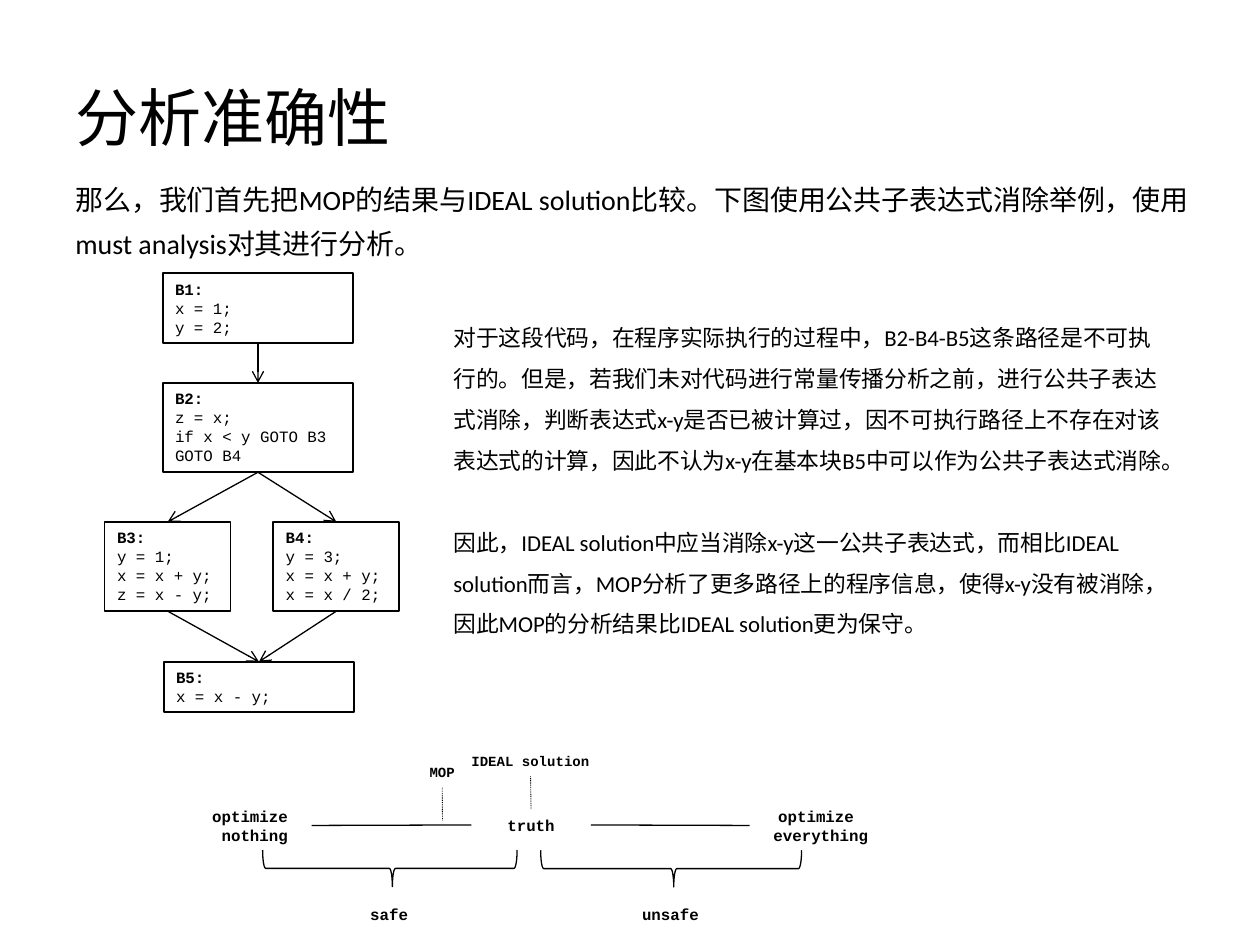
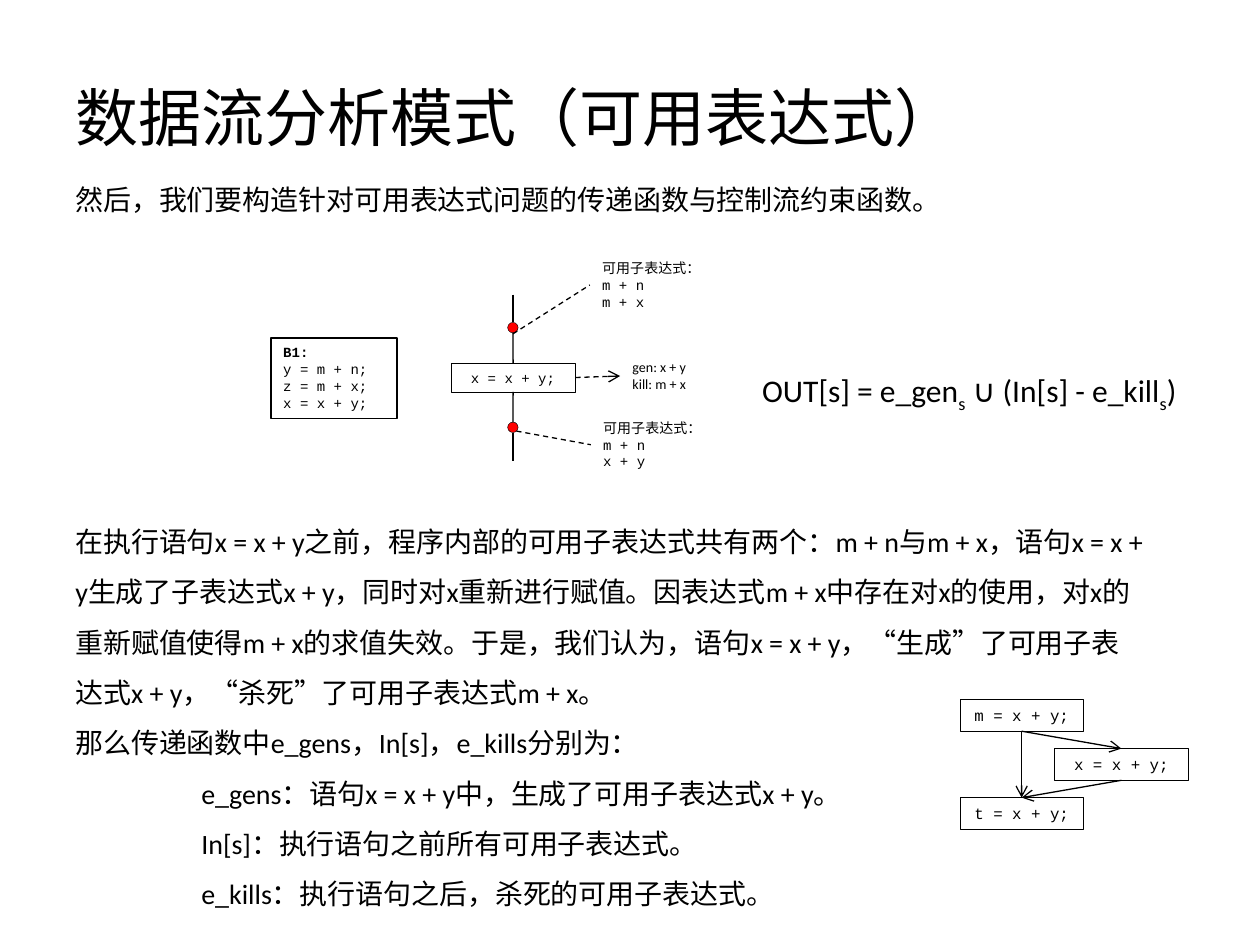
"""Build two slides on data-flow analysis: precision, and available expressions."""
from lxml import etree
from pptx import Presentation
from pptx import util as u
from pptx.dml import color
from pptx.enum import dml, shapes, text
from pptx.oxml import ns

BLACK, RED = "000000", "FF0000"
BODY, CODE = "Calibri", "Courier New"
TOP, LEFT, BOTTOM, RIGHT = range(4)
CENTER = text.PP_ALIGN.CENTER
MIDDLE = text.MSO_ANCHOR.MIDDLE
SHAPE = shapes.MSO_SHAPE
DASH, DOTS = dml.MSO_LINE.DASH, dml.MSO_LINE.ROUND_DOT


def rgb(code):
    """Turn a hex string into a colour."""
    return color.RGBColor.from_string(code)


def lengths(values):
    """Turn centimetre numbers into lengths."""
    return [u.Cm(value) for value in values]


def set_all(target, values):
    """Set each named attribute on the target."""
    for name, value in values.items():
        setattr(target, name, value)


def add_span(para, words, size, font, bold=False, baseline=0):
    """Add one run of text to a paragraph."""
    span = para.add_run()
    span.text = words
    set_all(span.font, {"size": u.Pt(size), "name": font, "bold": bold})
    span.font.color.rgb = rgb(BLACK)
    if baseline:
        span.font._element.set("baseline", str(baseline * 1000))


def write(box, lines, size, font=BODY, bold=False, heading=False,
          anchor=text.MSO_ANCHOR.TOP, **layout):
    """Fill a box with one paragraph per line; a heading makes the first bold."""
    frame = box.text_frame
    set_all(frame, {"word_wrap": True, "vertical_anchor": anchor})
    layout = {"alignment": text.PP_ALIGN.LEFT, **layout}
    for index, words in enumerate(lines):
        para = frame.add_paragraph() if index else frame.paragraphs[0]
        set_all(para, layout)
        add_span(para, words, size, font, bold or (heading and index == 0))
    return box


def add_text(page, at, lines, size, font=BODY, **options):
    """Add a text box."""
    box = page.shapes.add_textbox(*lengths(at))
    return write(box, lines, size, font, **options)


def add_outline(page, kind, at, width, fill=None):
    """Add a black-outlined preset shape, unfilled unless a colour is given."""
    box = page.shapes.add_shape(kind, *lengths(at))
    box.shadow.inherit = False
    box.line.color.rgb = rgb(BLACK)
    box.line.width = u.Pt(width)
    if fill:
        box.fill.solid()
        box.fill.fore_color.rgb = rgb(fill)
    else:
        box.fill.background()
    return box


def add_block(page, at, lines, size=9):
    """Add a basic block: a bold label over its code."""
    box = add_outline(page, SHAPE.RECTANGLE, at, 1)
    return write(box, lines, size, CODE, heading=True)


def add_statement(page, at, code, size=9):
    """Add a thin box with one centred statement."""
    box = add_outline(page, SHAPE.RECTANGLE, at, 0.25)
    return write(box, [code], size, CODE, alignment=CENTER)


def add_label(page, at, lines, size=9):
    """Add a bold centred label in the code font."""
    return add_text(page, at, lines, size, CODE, bold=True, alignment=CENTER)


def add_brace(page, at):
    """Add a brace turned to open upwards."""
    brace = add_outline(page, SHAPE.LEFT_BRACE, at, 0.75)
    brace.rotation = 270
    brace.adjustments[0], brace.adjustments[1] = 0.083, 0.51


def add_line(page, start, end, arrow=False, dash=None, width=0.75):
    """Add a line between ends given as (x, y) or as (box, side)."""
    joined = [not isinstance(stop[0], (int, float)) for stop in (start, end)]
    points = [(0, 0) if is_box else stop
              for stop, is_box in zip((start, end), joined)]
    line = page.shapes.add_connector(
        shapes.MSO_CONNECTOR.STRAIGHT, *lengths(points[0] + points[1]))
    if joined[0]:
        line.begin_connect(*start)
    if joined[1]:
        line.end_connect(*end)
    line.line.color.rgb = rgb(BLACK)
    set_all(line.line, {"width": u.Pt(width), "dash_style": dash})
    if arrow:
        tail = etree.SubElement(line.line._get_or_add_ln(), ns.qn("a:tailEnd"))
        tail.set("type", "arrow")
    etree.SubElement(line._element.spPr, ns.qn("a:effectLst"))


def add_page(deck, title, intro, intro_size):
    """Add a blank slide with the shared title and introduction."""
    page = deck.slides.add_slide(deck.slide_layouts[6])
    add_text(page, (1.27, 0.76, 22.86, 3.18), [title], 36, anchor=MIDDLE)
    add_text(page, (1.27, 3.35, *intro_size), [intro], 16, line_spacing=1.3)
    return page


def add_flow_graph(page):
    """Draw the five basic blocks and their edges."""
    b1 = add_block(page, (3.28, 5.51, 3.84, 1.4), ["B1:", "x = 1;", "y = 2;"])
    b2 = add_block(page, (3.28, 7.72, 3.84, 1.8),
                   ["B2:", "z = x;", "if x < y GOTO B3", "GOTO B4"])
    b3 = add_block(page, (2.11, 10.52, 2.54, 1.8),
                   ["B3:", "y = 1;", "x = x + y;", "z = x - y;"])
    b4 = add_block(page, (5.51, 10.52, 2.54, 1.8),
                   ["B4:", "y = 3;", "x = x + y;", "x = x / 2;"])
    b5 = add_block(page, (3.3, 13.34, 3.84, 1.02), ["B5:", "x = x - y;"])
    for source, target in ((b1, b2), (b2, b3), (b2, b4), (b3, b5), (b4, b5)):
        add_line(page, (source, BOTTOM), (target, TOP), arrow=True)


def add_precision_scale(page):
    """Draw the scale from optimizing nothing to optimizing everything."""
    nothing = add_label(page, (3.99, 16.13, 2.29, 1.02), ["optimize ", "nothing"])
    truth = add_label(page, (9.5, 16.31, 2.41, 0.64), ["truth"])
    everything = add_label(page, (15.11, 16.13, 2.87, 1.02),
                           ["optimize ", "everything"])
    ideal = add_label(page, (8.97, 15.04, 3.45, 0.61), ["IDEAL solution"], 8)
    mop = add_label(page, (7.19, 15.27, 3.45, 0.61), ["MOP"], 8)
    add_line(page, (nothing, RIGHT), (truth, LEFT))
    add_line(page, (truth, RIGHT), (everything, LEFT))
    add_line(page, (ideal, BOTTOM), (truth, TOP), dash=DOTS, width=0.5)
    add_line(page, (mop, BOTTOM), (8.92, 16.54), dash=DOTS, width=0.5)
    add_brace(page, (7.49, 14.94, 0.74, 5.13))
    add_brace(page, (13.16, 14.88, 0.74, 5.26))
    for left, word in ((5.51, "safe"), (11.18, "unsafe")):
        add_label(page, (left, 18.11, 4.67, 0.64), [word])


def add_precision_page(deck):
    """Build the slide on the precision of the analysis."""
    page = add_page(
        deck, "分析准确性",
        "那么，我们首先把MOP的结果与IDEAL solution比较。下图使用公共子表达式消除举例，"
        "使用must analysis对其进行分析。", (23.8, 15.6))
    add_flow_graph(page)
    box = add_text(page, (8.89, 6.12, 14.88, 8.13), [
        "对于这段代码，在程序实际执行的过程中，B2-B4-B5这条路径是不可执行的。但是，"
        "若我们未对代码进行常量传播分析之前，进行公共子表达式消除，判断表达式x-y是否已被计算过，"
        "因不可执行路径上不存在对该表达式的计算，因此不认为x-y在基本块B5中可以作为公共子表达式消除。",
        "因此，IDEAL solution中应当消除x-y这一公共子表达式，而相比IDEAL solution而言，"
        "MOP分析了更多路径上的程序信息，使得x-y没有被消除，因此MOP的分析结果比IDEAL solution更为保守。",
    ], 13, line_spacing=1.5)
    box.text_frame.paragraphs[1].space_before = u.Pt(23.4)
    add_precision_scale(page)


def add_transfer_diagram(page):
    """Draw the statement with the expressions available around it."""
    add_block(page, (5.46, 6.81, 2.54, 1.63),
              ["B1:", "y = m + n;", "z = m + x;", "x = x + y;"], 8)
    statement = add_statement(page, (9.09, 7.32, 2.51, 0.58), "x = x + y;", 8)
    available = "可用子表达式："
    before = add_text(page, (11.89, 5.11, 3.43, 1.27),
                      [available, "m + n", "m + x"], 8, CODE)
    after = add_text(page, (11.91, 8.33, 5.13, 1.27),
                     [available, "m + n", "x + y"], 8, CODE)
    effect = add_text(page, (12.5, 7.11, 5.13, 0.94),
                      ["gen: x + y", "kill: m + x"], 8)
    middle, dot = 10.34, 0.21
    for top in (6.5, 8.51):
        add_outline(page, SHAPE.OVAL, (middle - dot / 2, top, dot, dot), 0.25, RED)
    add_line(page, (middle, 5.94), (middle, 6.5))
    add_line(page, (middle, 6.71), (statement, TOP))
    add_line(page, (statement, BOTTOM), (middle, 8.51))
    add_line(page, (middle, 8.72), (middle, 9.3))
    add_line(page, (middle, 6.73), (before, LEFT), dash=DASH)
    add_line(page, (10.41, 8.69), (after, LEFT), dash=DASH)
    add_line(page, (statement, RIGHT), (effect, LEFT), arrow=True, dash=DASH)


def add_transfer_formula(page):
    """Write the transfer function with its subscripts."""
    box = page.shapes.add_textbox(*lengths((14.5, 6.93, 10.08, 1.4)))
    box.text_frame.word_wrap = False
    para = box.text_frame.paragraphs[0]
    set_all(para, {"alignment": CENTER, "line_spacing": 1.5})
    for words, baseline in (("OUT[s] = e_gen", 0), ("s", -25),
                            (" ∪ (In[s] - e_kill", 0), ("s", -25), (")", 0)):
        add_span(para, words, 18, BODY, baseline=baseline)


def add_branch_graph(page):
    """Draw three statements, one of them on a side branch."""
    first = add_statement(page, (19.35, 14.1, 2.49, 0.64), "m = x + y;")
    branch = add_statement(page, (21.26, 15.09, 2.69, 0.64), "x = x + y;")
    last = add_statement(page, (19.35, 16.08, 2.49, 0.64), "t = x + y;")
    for source, target in ((first, last), (first, branch), (branch, last)):
        add_line(page, (source, BOTTOM), (target, TOP), arrow=True)


def add_expressions_page(deck):
    """Build the slide on available expressions."""
    page = add_page(
        deck, "数据流分析模式（可用表达式）",
        "然后，我们要构造针对可用表达式问题的传递函数与控制流约束函数。", (21.72, 2.77))
    box = add_text(page, (1.27, 10.11, 22.12, 8.46), [
        "在执行语句x = x + y之前，程序内部的可用子表达式共有两个：m + n与m + x，"
        "语句x = x + y生成了子表达式x + y，同时对x重新进行赋值。因表达式m + x中存在对x的使用，"
        "对x的重新赋值使得m + x的求值失效。于是，我们认为，语句x = x + y，"
        "“生成”了可用子表达式x + y，“杀死”了可用子表达式m + x。",
        "那么传递函数中e_gens，In[s]，e_kills分别为：",
        "e_gens：语句x = x + y中，生成了可用子表达式x + y。",
        "In[s]：执行语句之前所有可用子表达式。",
        "e_kills：执行语句之后，杀死的可用子表达式。",
    ], 16, line_spacing=1.5)
    for para in box.text_frame.paragraphs[2:]:
        para._p.get_or_add_pPr().set("marL", str(u.Cm(2.54)))
    add_transfer_diagram(page)
    add_transfer_formula(page)
    add_branch_graph(page)


def main():
    """Build and save the deck."""
    deck = Presentation()
    set_all(deck, {"slide_width": u.Cm(25.4), "slide_height": u.Cm(19.05)})
    add_precision_page(deck)
    add_expressions_page(deck)
    deck.save("out.pptx")


if __name__ == "__main__":
    main()
